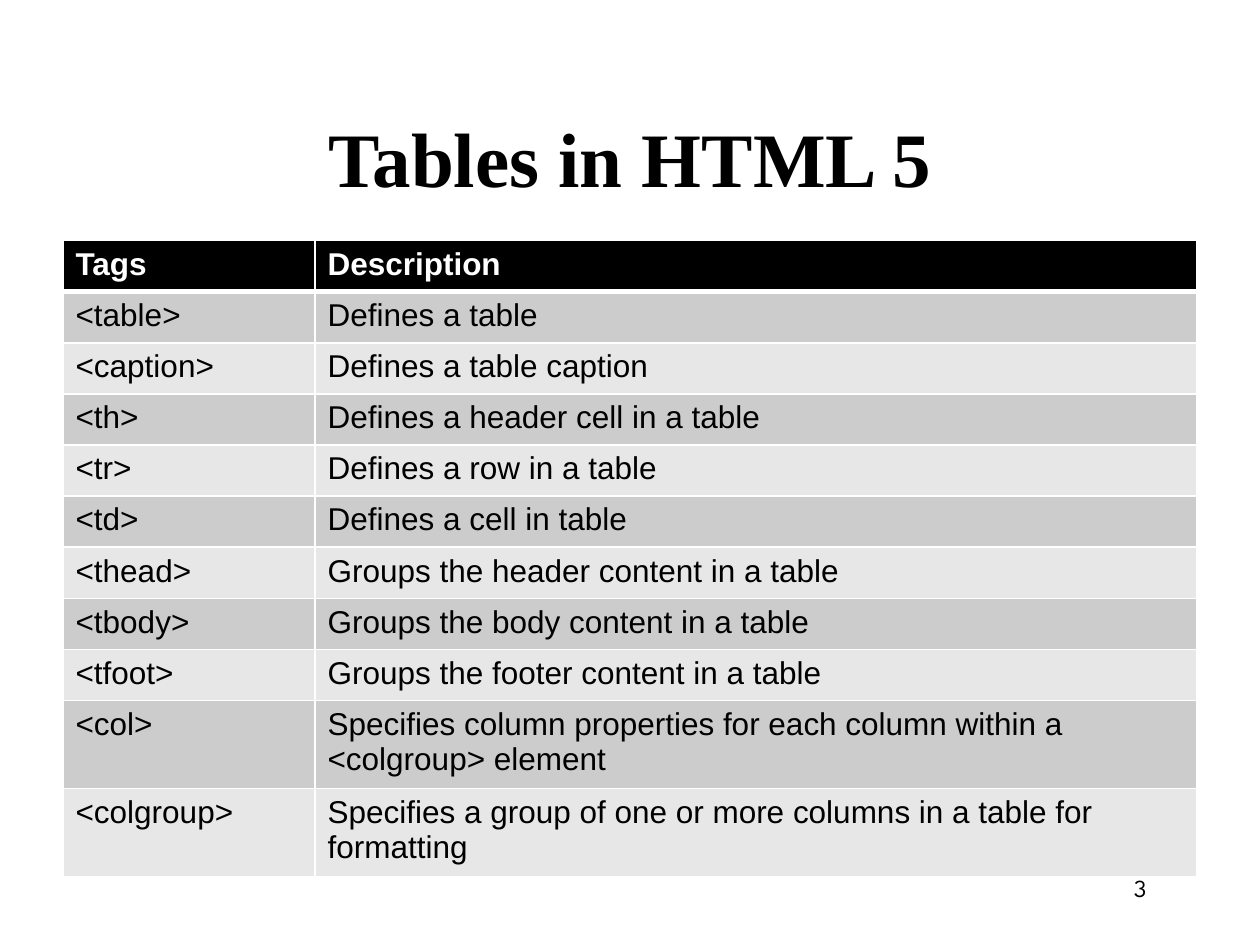
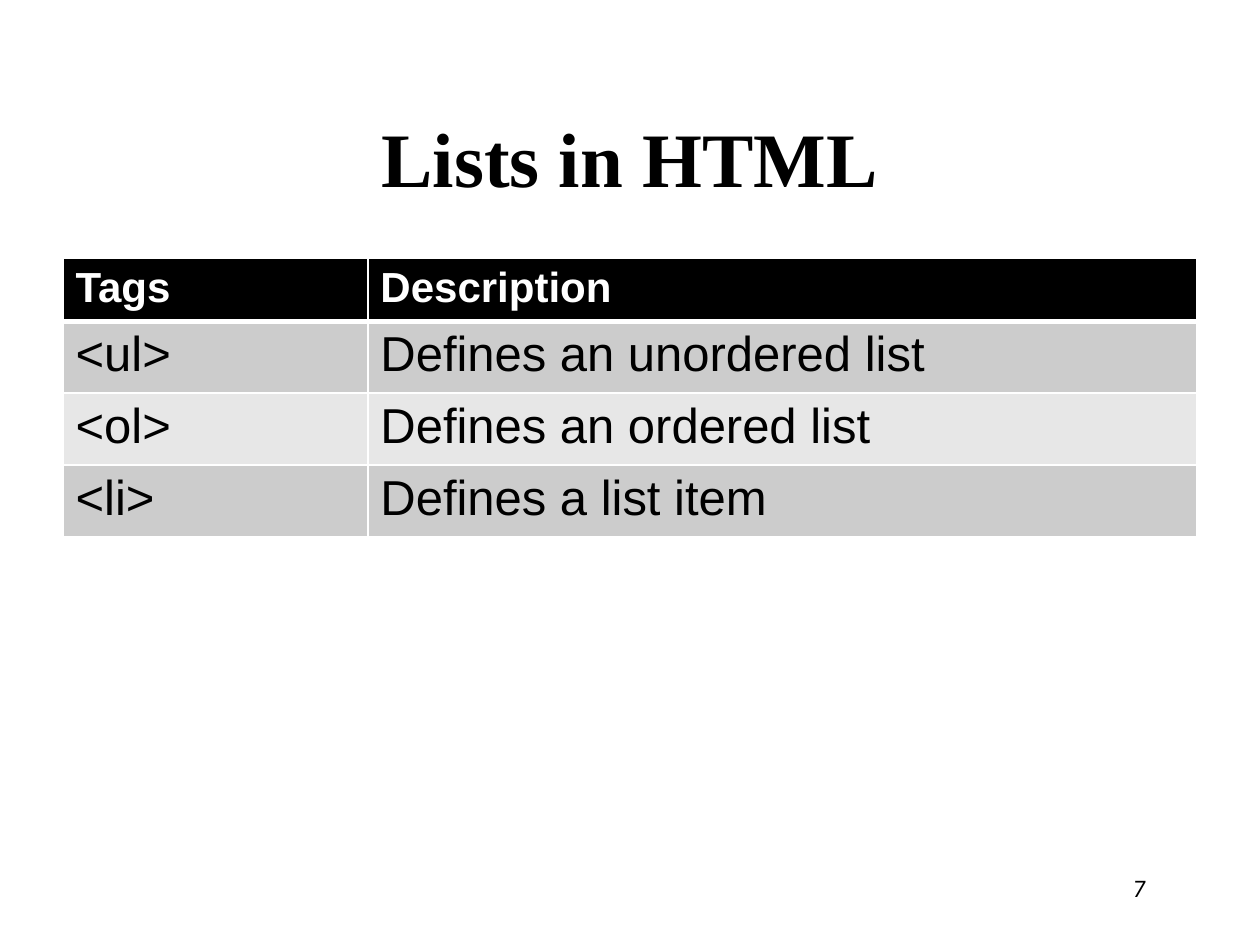
"""Build two slides that list the HTML tags for tables and for lists."""
from lxml.etree import SubElement
from pptx import Presentation
from pptx.dml.color import RGBColor
from pptx.enum.text import MSO_ANCHOR as Anchor, PP_ALIGN as Align
from pptx.oxml.ns import qn
from pptx.util import Inches, Pt

BLACK = RGBColor(0x00, 0x00, 0x00)
WHITE = RGBColor(0xFF, 0xFF, 0xFF)
DARK = RGBColor(0xCC, 0xCC, 0xCC)
LIGHT = RGBColor(0xE7, 0xE7, 0xE7)

TITLE = {"name": "Times New Roman", "size": Pt(44), "bold": True}
PAGE = {"name": "League Spartan", "size": Pt(14), "bold": False}

HEAD = ("Tags", "Description")
TABLE_TAGS = [
    HEAD,
    ("<table>", "Defines a table"),
    ("<caption>", "Defines a table caption"),
    ("<th>", "Defines a header cell in a table"),
    ("<tr>", "Defines a row in a table"),
    ("<td>", "Defines a cell in table"),
    ("<thead>", "Groups the header content in a table"),
    ("<tbody>", "Groups the body content in a table"),
    ("<tfoot>", "Groups the footer content in a table"),
    ("<col>", "Specifies column properties for each column within a <colgroup> element"),
    ("<colgroup>", "Specifies a group of one or more columns in a table for formatting"),
]
LIST_TAGS = [
    HEAD,
    ("<ul>", "Defines an unordered list"),
    ("<ol>", "Defines an ordered list"),
    ("<li>", "Defines a list item"),
]


def write(para, text, style, color=BLACK):
    """Put text in a paragraph with a dict of font values."""
    run = para.add_run()
    run.text = text
    for key, value in style.items():
        setattr(run.font, key, value)
    run.font.color.rgb = color


def add_text(slide, text, box, style, top=0.05):
    """Add a text box with one paragraph and return the paragraph."""
    frame = slide.shapes.add_textbox(*map(Inches, box)).text_frame
    frame.word_wrap = True
    frame.vertical_anchor = Anchor.TOP
    frame.margin_top = Inches(top)
    para = frame.paragraphs[0]
    write(para, text, style)
    return para


def add_edge(cell, side, width):
    """Draw a white border on one side of a cell."""
    props = cell._tc.get_or_add_tcPr()
    line = SubElement(props, qn(f"a:ln{side}"), w=str(Pt(width)))
    fill = SubElement(line, qn("a:solidFill"))
    SubElement(fill, qn("a:srgbClr"), val=str(WHITE))


def fill_cell(cell, row, text, size):
    """Style and fill one cell according to its row."""
    head = row == 0
    thick = {"T": 3 if row == 1 else 1, "B": 3 if head else 1}
    for side in "LRTB":
        add_edge(cell, side, thick.get(side, 1))
    cell.fill.solid()
    cell.fill.fore_color.rgb = BLACK if head else DARK if row % 2 else LIGHT
    style = {"name": "Arial", "size": Pt(size), "bold": head}
    write(cell.text_frame.paragraphs[0], text, style, WHITE if head else BLACK)


def add_tags(slide, data, top, widths, heights, sizes):
    """Add a tag table; sizes holds the head and body text sizes."""
    area = map(Inches, (0.5, top, sum(widths), sum(heights)))
    table = slide.shapes.add_table(len(data), len(HEAD), *area).table
    for col, width in zip(table.columns, widths):
        col.width = Inches(width)
    for r, (texts, height) in enumerate(zip(data, heights)):
        table.rows[r].height = Inches(height)
        for c, text in enumerate(texts):
            fill_cell(table.cell(r, c), r, text, sizes[min(r, 1)])


def add_slide(deck, title, page):
    """Add a blank slide with its page number and title."""
    slide = deck.slides.add_slide(deck.slide_layouts[6])
    add_text(slide, page, (8.9, 6.76, 0.55, 0.61), PAGE).line_spacing = 1.5
    add_text(slide, title, (0.5, 0.75, 9, 1.25), TITLE, 0.13).alignment = Align.CENTER
    return slide


def main():
    """Build and save the deck."""
    deck = Presentation()
    deck.slide_width, deck.slide_height = Inches(10), Inches(7.5)

    slide = add_slide(deck, "Tables in HTML 5", "3")
    tall = 0.7
    short = (5.05 - 2 * tall) / 9
    add_tags(slide, TABLE_TAGS, 1.91, (2, 7), [short] * 9 + [tall] * 2, (18, 18))

    slide = add_slide(deck, "Lists in HTML", "7")
    add_tags(slide, LIST_TAGS, 2.05, (2.42, 6.58), [0.5] + [0.57] * 3, (24, 28))

    deck.save("out.pptx")


if __name__ == "__main__":
    main()
